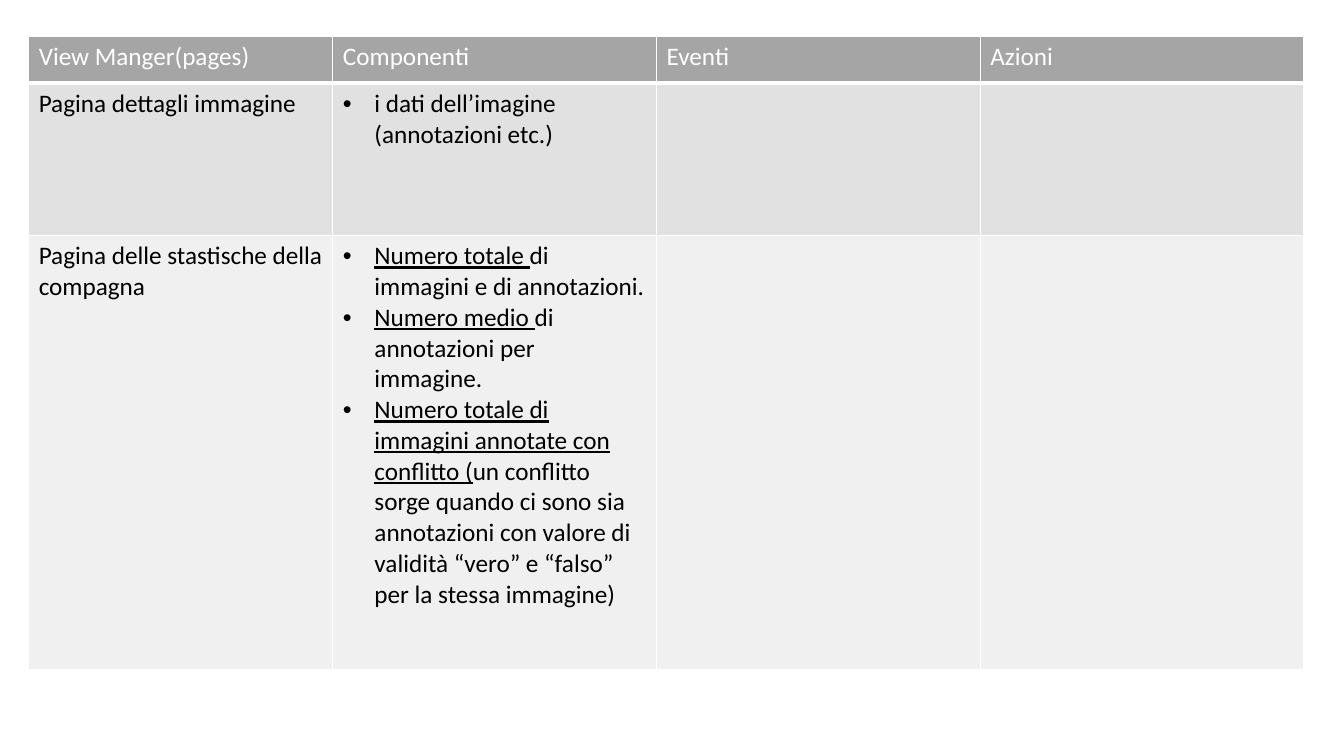
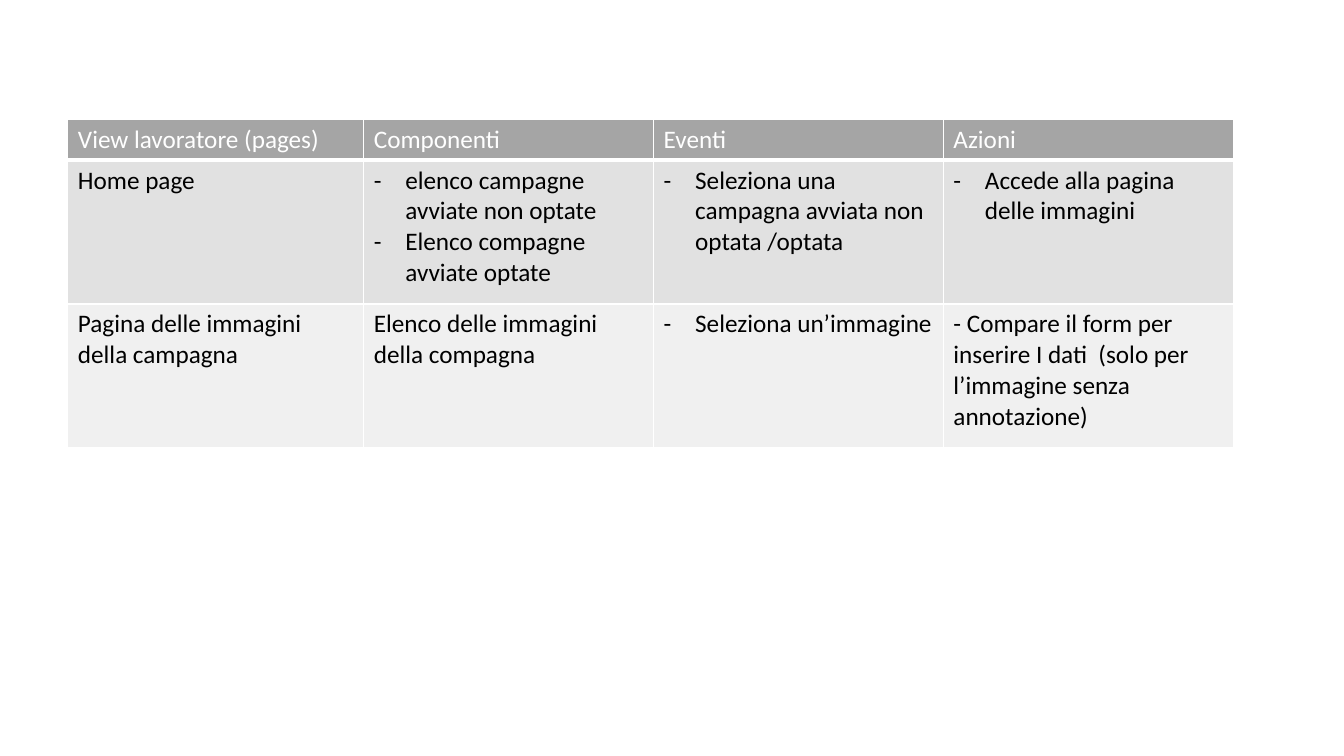
from dataclasses import dataclass

from lxml.etree import SubElement as Sub
from pptx import Presentation
from pptx.dml.color import RGBColor as Rgb
from pptx.oxml.ns import qn
from pptx.util import Pt


# Shared look
@dataclass(frozen=True)
class Theme:
    font: str = "Calibri"
    size: int = 18
    head: str = "A5A5A5"
    bands: tuple = ("E1E1E1", "F0F0F0")
    light: str = "FFFFFF"
    dark: str = "000000"
    thin: int = 1
    thick: int = 3
    hang: float = 22.5


THEME = Theme()


# One paragraph: an underlined lead, plain text and a bullet mark
@dataclass(frozen=True)
class Para:
    text: str
    mark: str = ""
    lead: str = ""


def dot(text, lead=""):
    return Para(text, "•", lead)


def dash(text):
    return Para(text, "-")


# Text
def add_run(par, text, color, under=False):
    run = par.add_run()
    run.text = text
    font = run.font
    font.name, font.size = THEME.font, Pt(THEME.size)
    font.bold, font.underline = False, under
    font.color.rgb = Rgb.from_string(color)


def set_mark(par, mark):
    props = par._p.get_or_add_pPr()
    props.set("marL", str(Pt(THEME.hang)))
    props.set("indent", str(-Pt(THEME.hang)))
    Sub(props, qn("a:buFont")).set("typeface", "Arial" if mark == "•" else THEME.font)
    Sub(props, qn("a:buChar")).set("char", mark)


def fill_text(cell, paras, color):
    frame = cell.text_frame
    for num, para in enumerate(paras):
        par = frame.add_paragraph() if num else frame.paragraphs[0]
        if para.mark:
            set_mark(par, para.mark)
        if para.lead:
            add_run(par, para.lead, color, under=True)
        add_run(par, para.text, color)


# Cells
def set_edges(cell, top, base):
    props = cell._tc.get_or_add_tcPr()
    widths = {"L": THEME.thin, "R": THEME.thin, "T": top, "B": base}
    for side, width in widths.items():
        line = Sub(props, qn(f"a:ln{side}"), w=str(Pt(width)))
        solid = Sub(line, qn("a:solidFill"))
        Sub(solid, qn("a:srgbClr"), val=THEME.light)


def style_cell(cell, row):
    set_edges(cell,
              top=THEME.thick if row == 1 else THEME.thin,
              base=THEME.thick if row == 0 else THEME.thin)
    cell.fill.solid()
    tone = THEME.bands[(row - 1) % 2] if row else THEME.head
    cell.fill.fore_color.rgb = Rgb.from_string(tone)


# Table: a first column, then three equal ones
def add_grid(slide, left, top, first, other, highs, title, body):
    heads = [[Para(name)] for name in (title, "Componenti", "Eventi", "Azioni")]
    rows = [heads, *body]
    wides = [first] + [other] * (len(heads) - 1)
    frame = slide.shapes.add_table(len(rows), len(wides), Pt(left), Pt(top),
                                   Pt(sum(wides)), Pt(sum(highs)))
    table = frame.table
    for col, wide in zip(table.columns, wides):
        col.width = Pt(wide)
    for row, high in zip(table.rows, highs):
        row.height = Pt(high)
    for r, cells in enumerate(rows):
        for c, paras in enumerate(cells):
            cell = table.cell(r, c)
            style_cell(cell, r)
            fill_text(cell, paras, THEME.dark if r else THEME.light)


# Content
MANAGER = [
    [[Para("Pagina dettagli immagine")],
     [dot("i dati dell’imagine (annotazioni etc.)")], [], []],
    [[Para("Pagina delle stastische della compagna")],
     [dot("di immagini e di annotazioni.", "Numero totale "),
      dot("di annotazioni per immagine.", "Numero medio "),
      dot("un conflitto sorge quando ci sono sia annotazioni con valore di "
          "validità “vero” e “falso” per la stessa immagine)",
          "Numero totale di immagini annotate con conflitto (")], [], []],
]

WORKER = [
    [[Para("Home page")],
     [dash("elenco campagne avviate non optate"),
      dash("Elenco compagne avviate optate")],
     [dash("Seleziona una campagna avviata non optata /optata")],
     [dash("Accede alla pagina delle immagini")]],
    [[Para("Pagina delle immagini della campagna")],
     [Para("Elenco delle immagini della compagna")],
     [dash("Seleziona un’immagine")],
     [Para("- Compare il form per inserire I dati  (solo per l’immagine "
           "senza annotazione)")]],
]


def main():
    deck = Presentation()
    deck.slide_width, deck.slide_height = Pt(960), Pt(540)
    blank = deck.slide_layouts[6]

    add_grid(deck.slides.add_slide(blank), 20.5, 26, 217.3, 231.2,
             [33.5, 109, 309.7], "View Manger(pages)", MANAGER)
    add_grid(deck.slides.add_slide(blank), 48.5, 85.2, 211.4, 207,
             [29, 102.7, 102.7], "View lavoratore (pages)", WORKER)

    deck.save("out.pptx")


if __name__ == "__main__":
    main()
